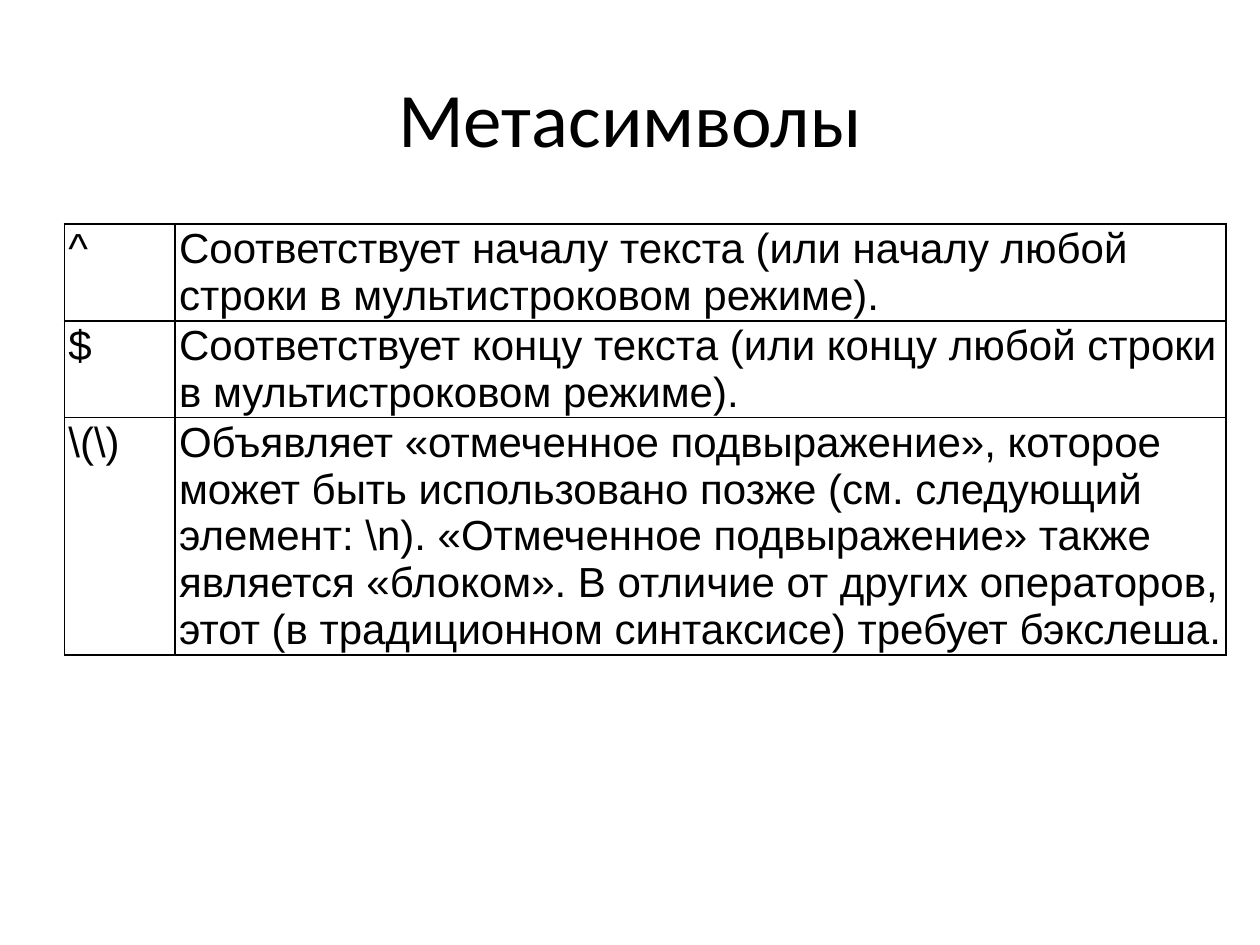
from lxml.etree import SubElement
from pptx import Presentation
from pptx.dml.color import RGBColor
from pptx.enum.text import MSO_ANCHOR, PP_ALIGN
from pptx.oxml.ns import qn
from pptx.util import Cm, Pt

COLORS = {"text": "000000", "border": "000000"}
METACHARACTERS = [
    ("^", "Соответствует началу текста (или началу любой строки в мультистроковом режиме)."),
    ("$", "Соответствует концу текста (или концу любой строки в мультистроковом режиме)."),
    (r"\(\)", "Объявляет «отмеченное подвыражение», которое может быть использовано позже "
     r"(см. следующий элемент: \n). «Отмеченное подвыражение» также является «блоком». "
     "В отличие от других операторов, этот (в традиционном синтаксисе) требует бэкслеша."),
]
COLUMN_WIDTHS = (2.23, 21.18)
ROW_HEIGHTS = (1.95, 1.95, 4.78)


def format_text(frame, font, size, align):
    """Give every run of a text frame the same look."""
    for para in frame.paragraphs:
        para.alignment = align
        for span in para.runs:
            span.font.name = font
            span.font.size = Pt(size)
            span.font.color.rgb = RGBColor.from_string(COLORS["text"])


def add_borders(cell):
    """Draw a thin solid line on all four sides of a cell."""
    properties = cell._tc.get_or_add_tcPr()
    for index, side in enumerate(("lnL", "lnR", "lnT", "lnB")):
        line = SubElement(properties, qn(f"a:{side}"), w=str(Pt(1)))
        fill = SubElement(line, qn("a:solidFill"))
        SubElement(fill, qn("a:srgbClr"), val=COLORS["border"])
        properties.insert(index, line)


def place_title(page, box, text):
    """Fill the title placeholder and move it to the box."""
    title = page.shapes.title
    title.left, title.top, title.width, title.height = (Cm(length) for length in box)
    title.text_frame.text = text
    title.text_frame.vertical_anchor = MSO_ANCHOR.MIDDLE
    format_text(title.text_frame, "Calibri", 44, PP_ALIGN.CENTER)


def place_table(page, box, rows):
    """Build the bordered table of metacharacters in the box."""
    table = page.shapes.add_table(
        len(rows), len(COLUMN_WIDTHS), *(Cm(length) for length in box)).table
    table.first_row = table.horz_banding = False
    for column, width in zip(table.columns, COLUMN_WIDTHS):
        column.width = Cm(width)
    for row, height, texts in zip(table.rows, ROW_HEIGHTS, rows):
        row.height = Cm(height)
        for cell, text in zip(row.cells, texts):
            cell.text_frame.text = text
            cell.margin_left = cell.margin_right = Cm(0.08)
            cell.margin_top = cell.margin_bottom = Cm(0.03)
            cell.vertical_anchor = MSO_ANCHOR.TOP
            cell.fill.background()
            format_text(cell.text_frame, "Arial", 24, PP_ALIGN.LEFT)
            add_borders(cell)


def main():
    """Build the deck and save it."""
    deck = Presentation()
    deck.slide_width, deck.slide_height = Cm(25.4), Cm(19.05)
    page = deck.slides.add_slide(deck.slide_layouts[5])
    place_title(page, (1.27, 0.76, 22.86, 3.18), "Метасимволы")
    place_table(page, (1.3, 4.52, sum(COLUMN_WIDTHS), sum(ROW_HEIGHTS)), METACHARACTERS)
    deck.save("out.pptx")


if __name__ == "__main__":
    main()
